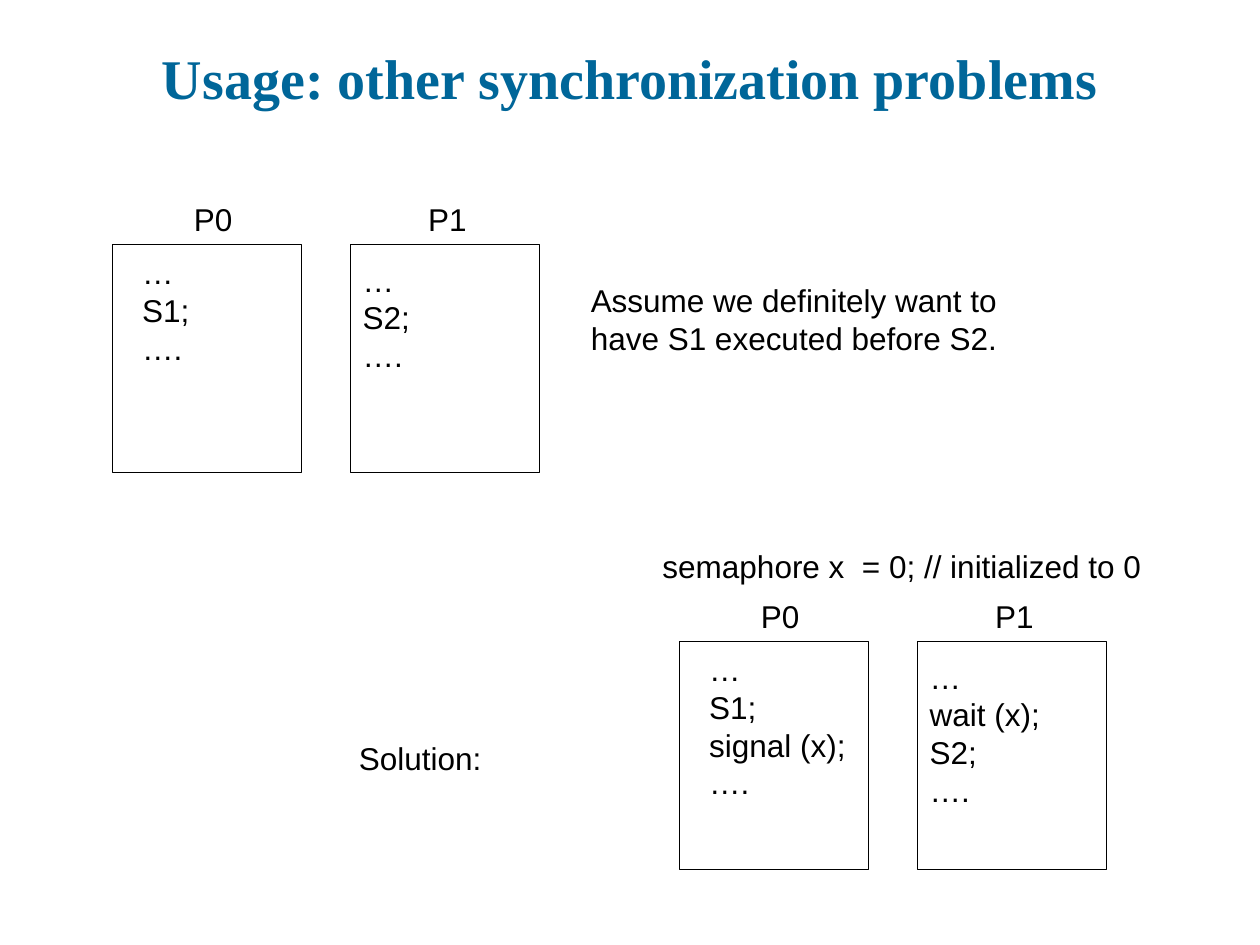
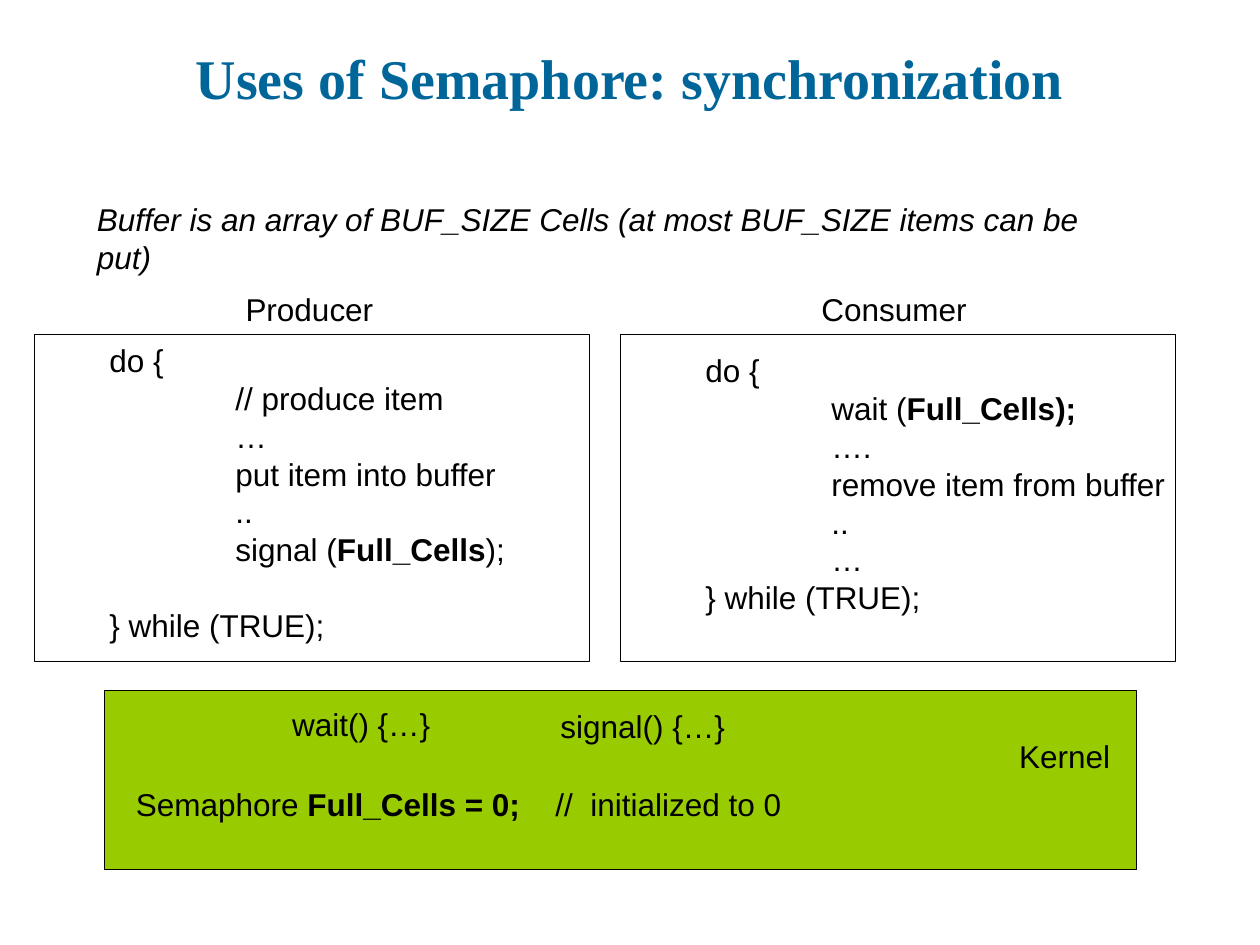
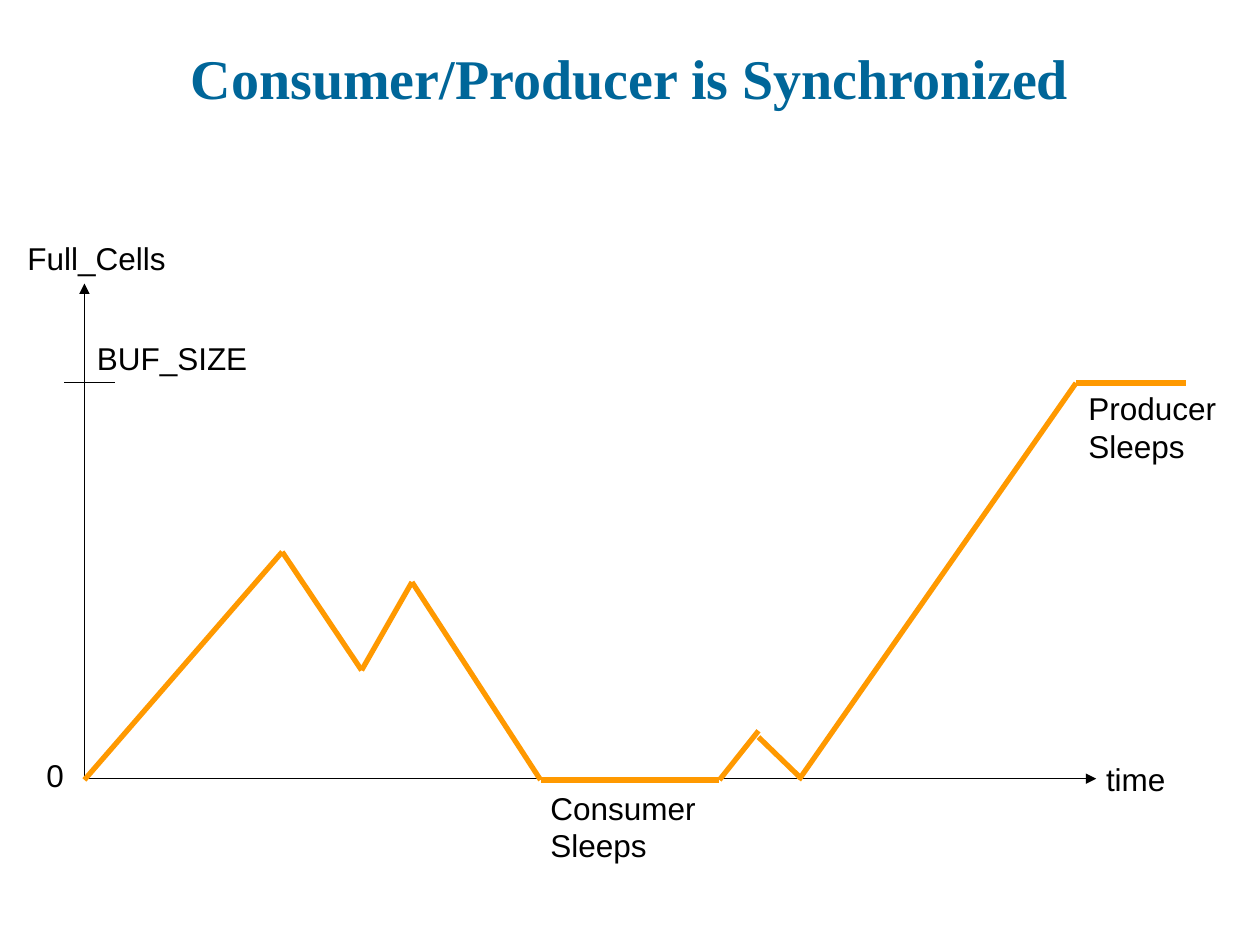
import pptx
import pptx.util
import pptx.dml.color
import pptx.enum.shapes
import pptx.enum.text
import pptx.oxml.ns
import lxml.etree

COLORS = {"title": "006699", "ink": "000000", "kernel": "99CC00", "level": "FF9900"}
TITLE_FONT, BODY_FONT = "Times New Roman", "Arial"
LINE_PITCH = 21.6  # points

deck = pptx.Presentation()
deck.slide_width = pptx.util.Inches(10)
deck.slide_height = pptx.util.Inches(7.5)
COL = deck.slide_width / 100
ROW = deck.slide_height / 75


def place(*cells):
    """Turn alternating grid columns and rows into slide lengths."""
    return [round(cell * (ROW if i % 2 else COL)) for i, cell in enumerate(cells)]


def write(holder, lines, size=18, font=BODY_FONT, color="ink", bold=False, italic=False,
          align=None, anchor="TOP", wrap=False, pitch=LINE_PITCH, indents=None,
          gap_before_last=0, tab=None):
    """Fill a shape with lines; ** switches bold on and off."""
    frame = holder.text_frame
    frame.word_wrap = wrap
    frame.auto_size = pptx.enum.text.MSO_AUTO_SIZE.NONE
    frame.vertical_anchor = pptx.enum.text.MSO_ANCHOR[anchor]
    for i, line in enumerate(lines):
        paragraph = frame.add_paragraph() if i else frame.paragraphs[0]
        paragraph.alignment = align
        if pitch:
            paragraph.line_spacing = pptx.util.Pt(pitch)
        if i and i == len(lines) - 1 and gap_before_last:
            paragraph.space_before = pptx.util.Pt(gap_before_last)
        properties = paragraph._p.get_or_add_pPr()
        if indents:
            properties.set("marL", str(pptx.util.Inches(indents[i])))
        if tab:
            stops = lxml.etree.SubElement(properties, pptx.oxml.ns.qn("a:tabLst"))
            lxml.etree.SubElement(stops, pptx.oxml.ns.qn("a:tab"),
                                  pos=str(pptx.util.Inches(tab)), algn="l")
        for part, words in enumerate(line.split("**")):
            if words:
                run = paragraph.add_run()
                run.text = words
                run.font.size = pptx.util.Pt(size)
                run.font.name = font
                run.font.bold = bold or part % 2 == 1
                run.font.italic = italic
                run.font.color.rgb = pptx.dml.color.RGBColor.from_string(COLORS[color])


# Slides and their titles
slides = []
for heading in ("Usage: other synchronization problems",
                "Uses of Semaphore: synchronization",
                "Consumer/Producer is Synchronized"):
    slide = deck.slides.add_slide(deck.slide_layouts[5])
    title = slide.shapes.title
    title.left, title.top, title.width, title.height = place(5, 3, 90, 6.3)
    write(title, [heading], size=32, font=TITLE_FONT, color="title", bold=True, wrap=True,
          align=pptx.enum.text.PP_ALIGN.CENTER, anchor="BOTTOM", pitch=None)
    slides.append(slide)
usage, semaphore, timeline = slides

# Process frames: the problem above, its solution lower right; then the kernel slide
PROCESS_STEP = 18.9
PROBLEM, SOLUTION = (8.9, 19.4), (53.9, 50.9)
frames = [(usage, (left + i * PROCESS_STEP, top, 15, 18.1), None)
          for left, top in (PROBLEM, SOLUTION) for i in range(2)]
frames += [(semaphore, (83 / 10, 54.8, 81.9, 14.2), "kernel"),
           (semaphore, (2.7, 26.5, 44.1, 26), None),
           (semaphore, (49.2, 26.5, 44.1, 26), None)]
for slide, cells, fill in frames:
    process = slide.shapes.add_shape(pptx.enum.shapes.MSO_SHAPE.RECTANGLE, *place(*cells))
    process.shadow.inherit = False
    process.line.width = pptx.util.Pt(0.25)
    process.line.color.rgb = pptx.dml.color.RGBColor.from_string(COLORS["ink"])
    if fill:
        process.fill.solid()
        process.fill.fore_color.rgb = pptx.dml.color.RGBColor.from_string(COLORS[fill])
    else:
        process.fill.background()

# Process names and statements
texts = []
for (left, top), first, first_width, second, second_width in (
        (PROBLEM, ["…", "S1;", "…."], 6.4, ["…", "S2;", "…."], 6.4),
        (SOLUTION, ["…", "S1;", "signal (x);", "…."], 14.2,
         ["…", "wait (x);", "S2;", "…."], 10.7)):
    right = left + PROCESS_STEP
    texts += [(usage, (left + 5.5, top - 4, 5, 4), ["P0"], {}),
              (usage, (right + 5.2, top - 4, 5, 4), ["P1"], {}),
              (usage, (left + 1.4, top + 0.2, first_width, 13), first, {}),
              (usage, (right, top + 0.8, second_width, 13), second, {})]

# Remaining labels and code, slide by slide
texts += [
    (usage, (45.9, 21.8, 34.9, 7),
     ["Assume we definitely want to", "have S1 executed before S2."], {}),
    (usage, (51.6, 42.9, 40, 7), ["semaphore x  = 0; // initialized to 0"], {"wrap": True}),
    (usage, (27.5, 58.2, 11.7, 4), ["Solution:"], {}),

    (semaphore, (6.7, 15.4, 84.9, 7),
     ["Buffer is an array of BUF_SIZE Cells (at most BUF_SIZE items can be put)"],
     {"italic": True, "wrap": True}),
    (semaphore, (18.5, 22.5, 12.1, 4), ["Producer"], {}),
    (semaphore, (64.2, 22.5, 13.5, 4), ["Consumer"], {}),
    (semaphore, (2.7, 26.6, 45.7, 25),
     ["do {", "// produce item", "…", "put item into buffer", "..",
      "signal (**Full_Cells**);", "} while (TRUE);"],
     {"wrap": True, "indents": [0.5] + [1.5] * 5 + [0.5], "gap_before_last": LINE_PITCH}),
    (semaphore, (50, 27.4, 45.7, 22),
     ["do {", "wait (**Full_Cells);**", "….", "remove item from buffer", "..", "…",
      "} while (TRUE);"],
     {"wrap": True, "indents": [0.5] + [1.5] * 5 + [0.5]}),
    (semaphore, (22.2, 55.5, 13, 4), ["wait() {…}"], {}),
    (semaphore, (43.5, 55.6, 15, 4), ["signal() {…}"], {}),
    (semaphore, (79.9, 58, 9.2, 4), ["Kernel"], {}),
    (semaphore, (9.8, 61.8, 53.2, 7),
     ["Semaphore **Full_Cells = 0;**\t//  initialized to 0"], {"wrap": True, "tab": 3.33}),

    (timeline, (1.2, 18.5, 13, 4), ["Full_Cells"], {}),
    (timeline, (6.7, 26.4, 13.9, 4), ["BUF_SIZE"], {}),
    (timeline, (2.7, 59.5, 5.8, 4), ["0"], {"wrap": True}),
    (timeline, (86.8, 59.8, 6.7, 4), ["time"], {}),
    (timeline, (42.7, 62.1, 13.5, 7), ["Consumer", "Sleeps"], {}),
    (timeline, (85.4, 30.4, 12.1, 7), ["Producer", "Sleeps"], {}),
]
for slide, cells, lines, style in texts:
    write(slide.shapes.add_textbox(*place(*cells)), lines, **style)

# Axes, the BUF_SIZE tick and the level of full cells over time
ORIGIN = (6.7, 61.8)
strokes = [(ORIGIN, (87, 61.8), "ink", 0.25, True),
           (ORIGIN, (6.7, 22.5), "ink", 0.25, True),
           ((5.1, 30.3), (9.1, 30.3), "ink", 0.25, False)]
for level in ([(6.7, 61.9), (22.4, 43.8), (28.7, 53.2), (32.7, 46.2), (42.9, 61.9),
               (57.1, 61.9), (60.2, 58)],
              [(60.2, 58.5), (63.4, 61.6)],
              [(63.4, 61.9), (85.4, 30.4), (94.1, 30.4)]):
    strokes += [(start, end, "level", 3, False) for start, end in zip(level, level[1:])]

for start, end, color, weight, arrow in strokes:
    stroke = timeline.shapes.add_connector(
        pptx.enum.shapes.MSO_CONNECTOR.STRAIGHT, *place(*start, *end))
    stroke.line.width = pptx.util.Pt(weight)
    stroke.line.color.rgb = pptx.dml.color.RGBColor.from_string(COLORS[color])
    if arrow:
        lxml.etree.SubElement(stroke.line._get_or_add_ln(), pptx.oxml.ns.qn("a:tailEnd"),
                              type="triangle")
    lxml.etree.SubElement(stroke._element.spPr, pptx.oxml.ns.qn("a:effectLst"))

deck.save("out.pptx")
